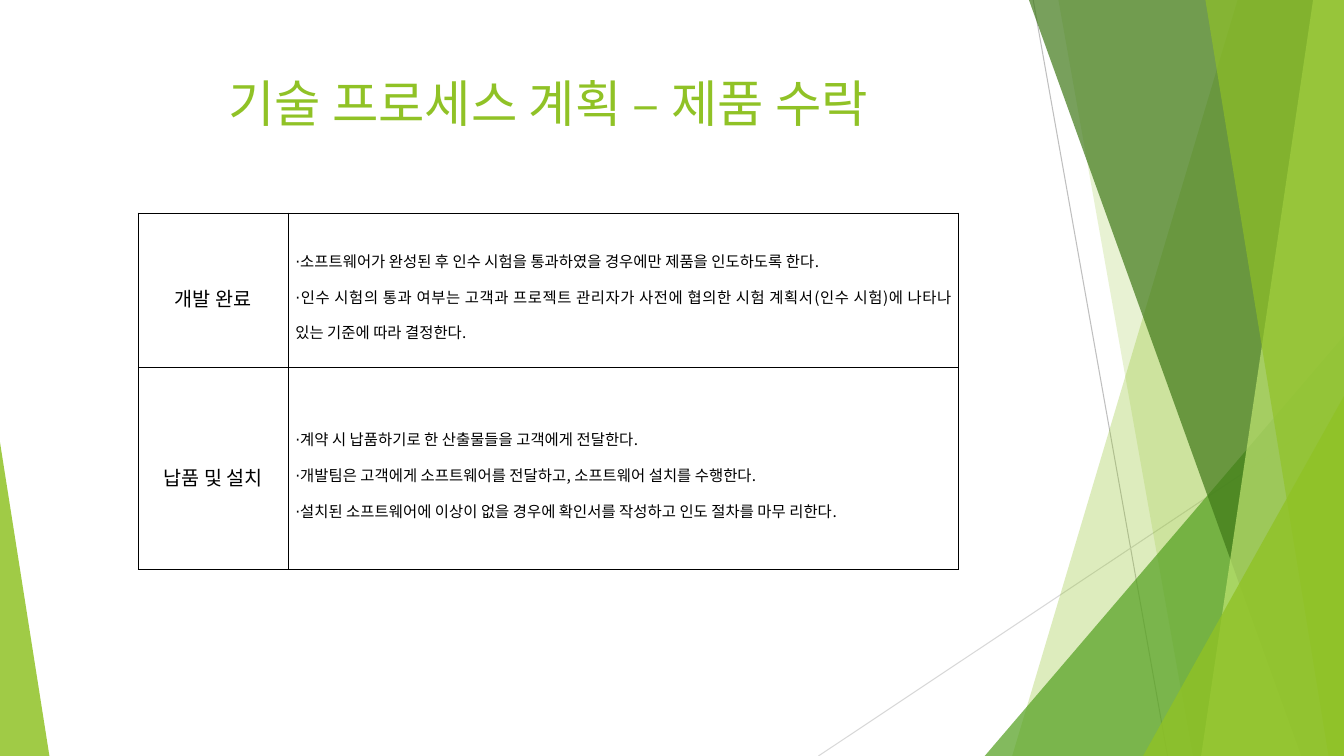
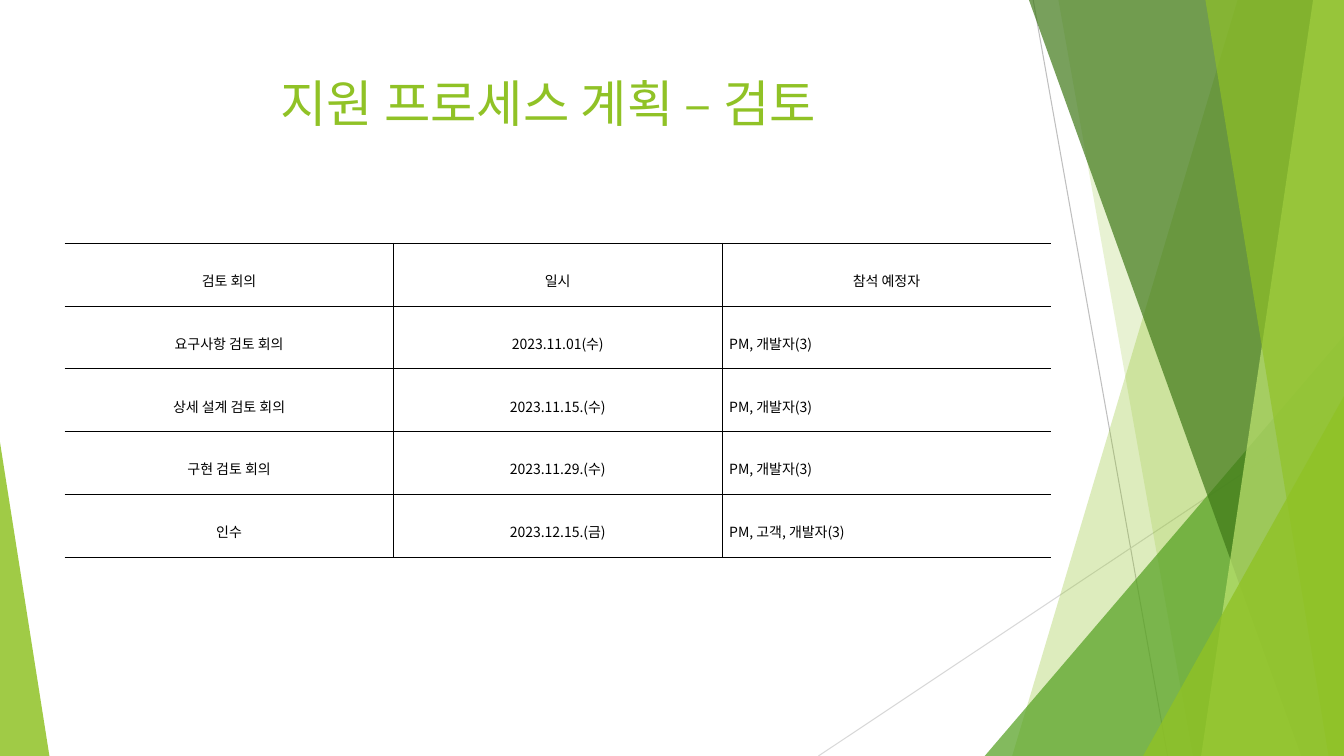
from lxml.etree import SubElement
from pptx import Presentation
from pptx.dml.color import RGBColor
from pptx.enum.shapes import MSO_CONNECTOR, MSO_SHAPE
from pptx.enum.text import MSO_ANCHOR as Anchor, PP_ALIGN as Align
from pptx.oxml.ns import qn
from pptx.util import Pt

WIDTH, HEIGHT = 960, 540
GREEN, LEAF, FOREST, LIME = "90C226", "54A021", "3F7818", "BFE471"
BLACK = "000000"
TITLE_FONT, BODY_FONT = "Cabin", "Noto Sans CJK KR"
BORDER_WIDTH = 0.28

LINES = [
    ((738, 0), (834, HEIGHT), "BFBFBF"),
    ((WIDTH, 290), (584.6, HEIGHT), "D8D8D8"),
]
BACK_BANDS = [(884, 723, GREEN, 30), (756, 852, GREEN, 20)]
FRONT_BANDS = [
    (735, 929.5, FOREST, 70),
    (938, 858, LIME, 70),
    (861, 949, GREEN, 65),
]

ACCEPTANCE = [
    ("개발 완료",
     "⋅소프트웨어가 완성된 후 인수 시험을 통과하였을 경우에만 제품을 인도하도록 한다.\n"
     "⋅인수 시험의 통과 여부는 고객과 프로젝트 관리자가 사전에 협의한 "
     "시험 계획서(인수 시험)에 나타나 있는 기준에 따라 결정한다."),
    ("납품 및 설치",
     "⋅계약 시 납품하기로 한 산출물들을 고객에게 전달한다.\n"
     "⋅개발팀은 고객에게 소프트웨어를 전달하고, 소프트웨어 설치를 수행한다.\n"
     "⋅설치된 소프트웨어에 이상이 없을 경우에 확인서를 작성하고 "
     "인도 절차를 마무 리한다."),
]
REVIEWS = [
    ("검토 회의", "일시", "참석 예정자"),
    ("요구사항 검토 회의", "2023.11.01(수)", "PM, 개발자(3)"),
    ("상세 설계 검토 회의", "2023.11.15.(수)", "PM, 개발자(3)"),
    ("구현 검토 회의", "2023.11.29.(수)", "PM, 개발자(3)"),
    ("인수", "2023.12.15.(금)", "PM, 고객, 개발자(3)"),
]


def color(value):
    return RGBColor.from_string(value)


def write_text(frame, text, size=10, font=BODY_FONT, fill=BLACK,
               align=Align.CENTER, spacing=1.0):
    frame.word_wrap = True
    frame.text = text
    for paragraph in frame.paragraphs:
        paragraph.alignment = align
        paragraph.line_spacing = spacing
        for run in paragraph.runs:
            run.font.size = Pt(size)
            run.font.name = font
            run.font.color.rgb = color(fill)
            SubElement(run.font._element, qn("a:ea"), typeface=BODY_FONT)


def paint(shape, fill, opacity):
    shape.shadow.inherit = False
    shape.line.fill.background()
    shape.fill.solid()
    shape.fill.fore_color.rgb = color(fill)
    fill_color = shape.element.spPr.find(".//" + qn("a:srgbClr"))
    SubElement(fill_color, qn("a:alpha"), val=str(opacity * 1000))


def add_line(slide, start, end, stroke):
    points = [Pt(value) for value in (*start, *end)]
    line = slide.shapes.add_connector(MSO_CONNECTOR.STRAIGHT, *points)
    line.line.color.rgb = color(stroke)
    line.line.width = Pt(0.75)
    SubElement(line.element.spPr, qn("a:effectLst"))


def add_band(slide, top_x, bottom_x, fill, opacity):
    builder = slide.shapes.build_freeform(Pt(top_x), 0)
    corners = [(WIDTH, 0), (WIDTH, HEIGHT), (bottom_x, HEIGHT)]
    builder.add_line_segments([(Pt(x), Pt(y)) for x, y in corners])
    paint(builder.convert_to_shape(), fill, opacity)


def add_triangle(slide, left, top, width, apex, fill, opacity):
    shape = slide.shapes.add_shape(
        MSO_SHAPE.ISOSCELES_TRIANGLE,
        Pt(left), Pt(top), Pt(width), Pt(HEIGHT - top))
    shape.adjustments[0] = apex
    paint(shape, fill, opacity)


def add_decoration(slide):
    for line in LINES:
        add_line(slide, *line)
    for band in BACK_BANDS:
        add_band(slide, *band)
    add_triangle(slide, 703.4, 240, WIDTH - 703.4, 1, LEAF, 72)
    for band in FRONT_BANDS:
        add_band(slide, *band)
    add_triangle(slide, 816.5, 283, WIDTH - 816.5, 1, GREEN, 80)
    add_triangle(slide, 0, 316, 35.3, 0, GREEN, 85)


def add_titled_slide(presentation, title):
    slide = presentation.slides.add_slide(presentation.slide_layouts[6])
    add_decoration(slide)
    box = slide.shapes.add_textbox(Pt(53), Pt(48), Pt(677), Pt(104))
    write_text(box.text_frame, title, size=36, font=TITLE_FONT, fill=GREEN)
    return slide


def set_borders(cell, hidden):
    properties = cell._tc.get_or_add_tcPr()
    for side in "LRTB":
        border = SubElement(properties, qn(f"a:ln{side}"),
                            w=str(Pt(BORDER_WIDTH)))
        if side in hidden:
            SubElement(border, qn("a:noFill"))
        else:
            fill = SubElement(border, qn("a:solidFill"))
            SubElement(fill, qn("a:srgbClr"), val=BLACK)


def add_grid(slide, left, top, widths, heights, rows, cell_format,
             open_sides=False):
    table = slide.shapes.add_table(
        len(rows), len(widths), Pt(left), Pt(top),
        Pt(sum(widths)), Pt(sum(heights))).table
    table.first_row = table.horz_banding = False
    for column, width in zip(table.columns, widths):
        column.width = Pt(width)
    for row, height in zip(table.rows, heights):
        row.height = Pt(height)
    last = len(widths) - 1
    for row_index, texts in enumerate(rows):
        for column_index, text in enumerate(texts):
            cell = table.cell(row_index, column_index)
            cell.margin_left = cell.margin_right = Pt(5.1)
            cell.margin_top = cell.margin_bottom = Pt(1.4)
            cell.vertical_anchor = Anchor.MIDDLE
            hidden = {0: "L", last: "R"}.get(column_index, "") if open_sides else ""
            set_borders(cell, hidden)
            cell.fill.background()
            write_text(cell.text_frame, text, spacing=1.6,
                       **cell_format(row_index, column_index))


def acceptance_format(row, column):
    return {"size": 11, "align": Align.JUSTIFY} if column else {"size": 14}


def review_format(row, column):
    is_attendee = row > 0 and column == 2
    return {"align": Align.JUSTIFY if is_attendee else Align.CENTER}


def main():
    presentation = Presentation()
    presentation.slide_width = Pt(WIDTH)
    presentation.slide_height = Pt(HEIGHT)

    slide = add_titled_slide(presentation, "기술 프로세스 계획 – 제품 수락")
    add_grid(slide, 98.6, 152, [107.3, 478.8], [110, 144.5],
             ACCEPTANCE, acceptance_format)

    slide = add_titled_slide(presentation, "지원 프로세스 계획 – 검토")
    add_grid(slide, 46.2, 173.6, [234.8] * 3, [44.9] * len(REVIEWS),
             REVIEWS, review_format, open_sides=True)

    presentation.save("out.pptx")


if __name__ == "__main__":
    main()
